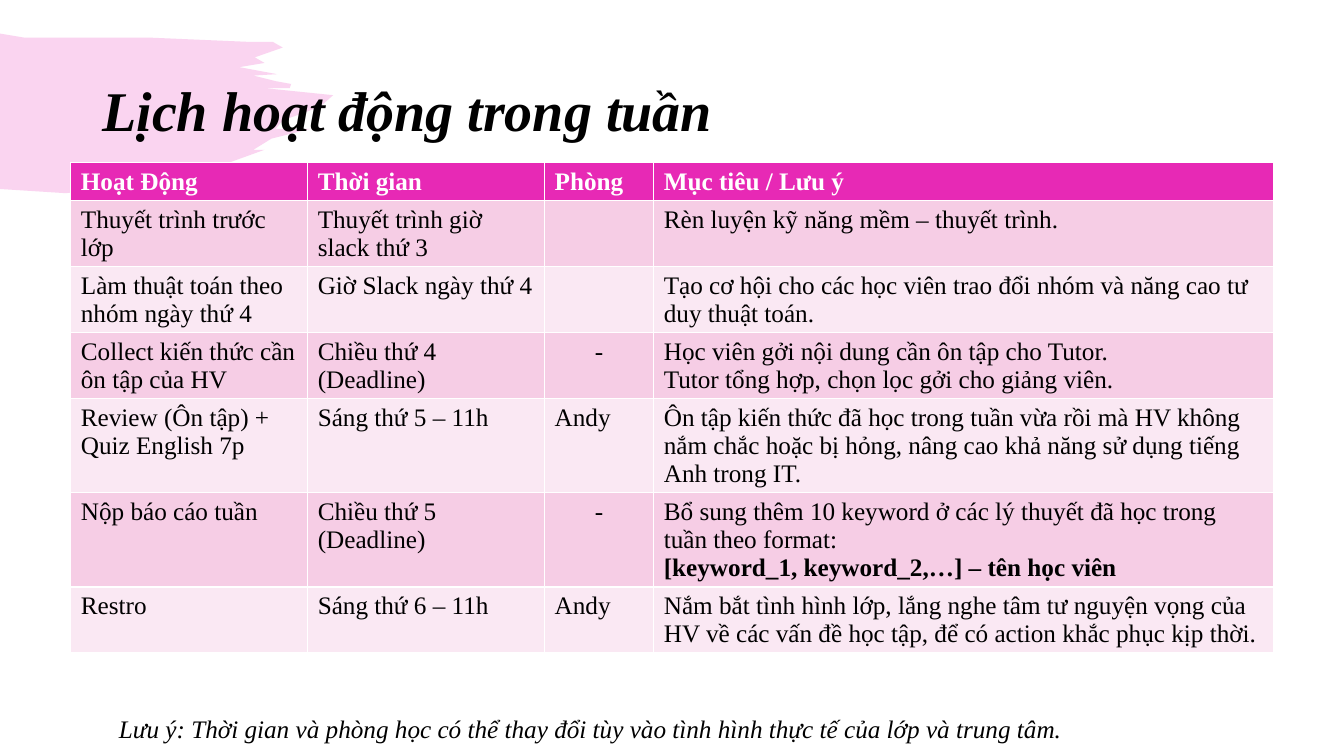
from lxml.etree import SubElement
from pptx import Presentation
from pptx.dml.color import RGBColor
from pptx.enum.text import MSO_ANCHOR, MSO_AUTO_SIZE, PP_ALIGN
from pptx.oxml.ns import qn
from pptx.util import Pt

# Content
TITLE = "Lịch hoạt động trong tuần"
NOTE = ("Lưu ý: Thời gian và phòng học có thể thay đổi tùy vào tình hình "
        "thực tế của lớp và trung tâm.")
BOLD_LINE = "[keyword_1, keyword_2,…] – tên học viên"
SCHEDULE = [
    ("Hoạt Động", "Thời gian", "Phòng", "Mục tiêu / Lưu ý"),
    ("Thuyết trình trước lớp", "Thuyết trình giờ slack thứ 3", "",
     "Rèn luyện kỹ năng mềm – thuyết trình."),
    ("Làm thuật toán theo nhóm ngày thứ 4", "Giờ Slack ngày thứ 4", "",
     "Tạo cơ hội cho các học viên trao đổi nhóm và năng cao tư duy thuật toán."),
    ("Collect kiến thức cần ôn tập của HV", "Chiều thứ 4 (Deadline)", "-",
     "Học viên gởi nội dung cần ôn tập cho Tutor.\n"
     "Tutor tổng hợp, chọn lọc gởi cho giảng viên."),
    ("Review (Ôn tập) + Quiz English 7p", "Sáng thứ 5 – 11h", "Andy",
     "Ôn tập kiến thức đã học trong tuần vừa rồi mà HV không nắm chắc hoặc bị "
     "hỏng, nâng cao khả năng sử dụng tiếng Anh trong IT."),
    ("Nộp báo cáo tuần", "Chiều thứ 5\n(Deadline)", "-",
     "Bổ sung thêm 10 keyword ở các lý thuyết đã học trong tuần theo format:\v"
     + BOLD_LINE),
    ("Restro", "Sáng thứ 6 – 11h", "Andy",
     "Nắm bắt tình hình lớp, lắng nghe tâm tư nguyện vọng của HV về các vấn đề "
     "học tập, để có action khắc phục kịp thời."),
]
COL_WIDTHS = (169.2, 169.2, 78, 442.8)
LINES_PER_ROW = (1, 2, 2, 2, 3, 3, 2)
LINE_HEIGHT, CELL_MARGINS = 20, 7.2

# Brush stroke outline in points, clockwise from the top left
BRUSH = [
    (0, 24.5), (18, 26.6), (73, 26.6), (109, 27.4), (179, 29.5), (195, 30),
    (202, 34), (182, 41), (189, 44.6), (171, 47.5), (198, 53), (181, 54),
    (197, 58), (208, 60), (207, 63), (189, 63.4), (238, 67.7), (229, 76),
    (216, 81), (202, 86), (197, 92), (222, 92), (194, 99), (181, 106.6),
    (189, 106.6), (142, 124), (73, 135.4), (47, 137.5), (0, 135.4),
]

# Style
FONT = "Times New Roman"
BLACK = RGBColor(0x00, 0x00, 0x00)
WHITE = RGBColor(0xFF, 0xFF, 0xFF)
MAGENTA = RGBColor(0xE7, 0x29, 0xB5)
ROW_PINKS = (RGBColor(0xFA, 0xE8, 0xF3), RGBColor(0xF6, 0xCD, 0xE5))


def style(p, size, color=BLACK, bold=False, italic=False):
    f = p.font
    f.name, f.size, f.bold, f.italic = FONT, Pt(size), bold, italic
    f.color.rgb = color


def add_brush(s):
    builder = s.shapes.build_freeform(*BRUSH[0], scale=Pt(1))
    builder.add_line_segments(BRUSH[1:], close=True)
    sp = builder.convert_to_shape()
    sp.shadow.inherit = False
    sp.line.fill.background()
    sp.fill.solid()
    sp.fill.fore_color.rgb = MAGENTA
    clr = sp._element.spPr.find(qn("a:solidFill")).find(qn("a:srgbClr"))
    SubElement(clr, qn("a:alpha")).set("val", "20000")
    # Keep the stroke behind the title
    s.shapes._spTree.insert(2, sp._element)


def add_title(s):
    sp = s.shapes.title
    sp.left, sp.top, sp.width, sp.height = Pt(66), Pt(28.8), Pt(828), Pt(104.4)
    tf = sp.text_frame
    tf.text = TITLE
    tf.vertical_anchor = MSO_ANCHOR.MIDDLE
    p = tf.paragraphs[0]
    p.alignment, p.line_spacing = PP_ALIGN.LEFT, 0.9
    style(p, 40, bold=True, italic=True)


def add_schedule(s):
    heights = [n * LINE_HEIGHT + CELL_MARGINS for n in LINES_PER_ROW]
    table = s.shapes.add_table(
        len(SCHEDULE), len(COL_WIDTHS), Pt(50.6), Pt(116.1),
        Pt(sum(COL_WIDTHS)), Pt(sum(heights))).table
    for col, width in zip(table.columns, COL_WIDTHS):
        col.width = Pt(width)
    for r, texts in enumerate(SCHEDULE):
        table.rows[r].height = Pt(heights[r])
        header = r == 0
        for c, text in enumerate(texts):
            cell = table.cell(r, c)
            cell.fill.solid()
            cell.fill.fore_color.rgb = MAGENTA if header else ROW_PINKS[r % 2]
            cell.text = text
            for p in cell.text_frame.paragraphs:
                style(p, 18, WHITE if header else BLACK, bold=header)
                if text == "-":
                    p.alignment = PP_ALIGN.CENTER
                for run in p.runs:
                    if run.text == BOLD_LINE:
                        run.font.bold = True


def add_note(s):
    sp = s.shapes.add_textbox(Pt(77.8), Pt(506.2), Pt(816.5), Pt(28.8))
    tf = sp.text_frame
    tf.word_wrap = True
    tf.auto_size = MSO_AUTO_SIZE.SHAPE_TO_FIT_TEXT
    tf.text = NOTE
    style(tf.paragraphs[0], 18, italic=True)


def main():
    prs = Presentation()
    prs.slide_width, prs.slide_height = Pt(960), Pt(540)
    s = prs.slides.add_slide(prs.slide_layouts[5])
    add_brush(s)
    add_title(s)
    add_schedule(s)
    add_note(s)
    prs.save("out.pptx")


if __name__ == "__main__":
    main()
